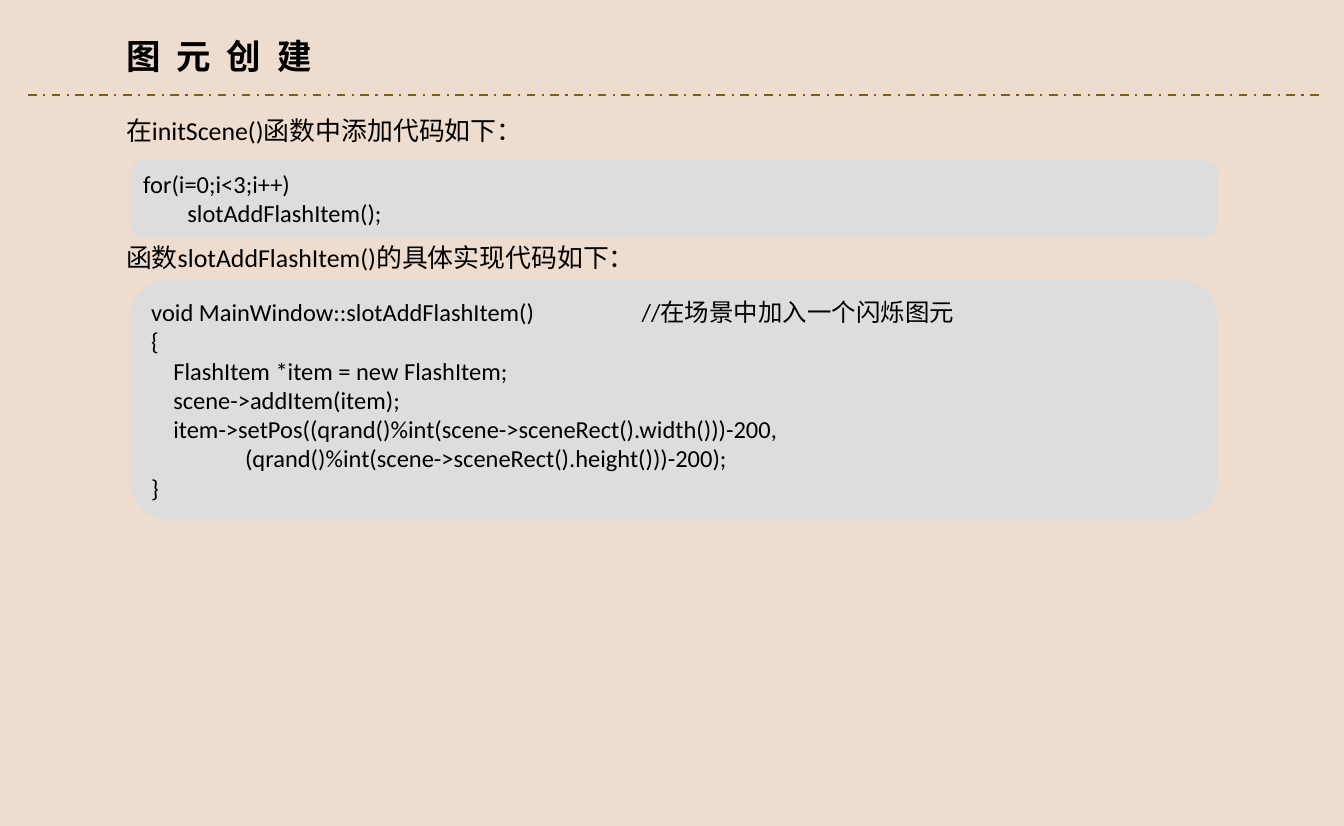
from dataclasses import dataclass

from lxml import etree
from pptx import Presentation
from pptx import util as u
from pptx.dml.color import RGBColor
from pptx.enum import dml, shapes, text
from pptx.oxml.ns import qn

PX = 9144  # EMU in one px, 100 px to the inch


@dataclass(frozen=True)
class Theme:
    font: str = "Calibri"
    paper: str = "EEDCCE"
    panel: str = "DDDDDD"
    rule: str = "806000"
    ink: str = "000000"
    title: int = 24
    body: int = 18
    code: int = 17
    track: int = 280  # title letter spacing, hundredths of a point


THEME = Theme()
LEFT = 112
PANEL_X, PANEL_W = 125, 1052
NOTE_TAB = 474

LOOP = """for(i=0;i<3;i++)
        slotAddFlashItem();"""

SLOT = """void MainWindow::slotAddFlashItem()\t//在场景中加入一个闪烁图元
{
    FlashItem *item = new FlashItem;
    scene->addItem(item);
    item->setPos((qrand()%int(scene->sceneRect().width()))-200,
                 (qrand()%int(scene->sceneRect().height()))-200);
}"""


def px(*nums):
    return [u.Emu(n * PX) for n in nums]


def rgb(code):
    return RGBColor.from_string(code)


def style(frame, size, bold=False):
    frame.auto_size = text.MSO_AUTO_SIZE.SHAPE_TO_FIT_TEXT
    for para in frame.paragraphs:
        para.alignment = text.PP_ALIGN.LEFT
        for run in para.runs:
            font = run.font
            font.name, font.size, font.bold = THEME.font, u.Pt(size), bold
            font.color.rgb = rgb(THEME.ink)


def label(slide, words, top, width, height, size, bold=False):
    box = slide.shapes.add_textbox(*px(LEFT, top, width, height))
    frame = box.text_frame
    frame.text = words
    frame.word_wrap = False
    style(frame, size, bold)
    return frame


def track(frame):
    """Widen the gaps between the letters."""
    for run in frame.paragraphs[0].runs:
        run.font._element.set("spc", str(THEME.track))


def tab(para, stop):
    stops = etree.SubElement(para._p.get_or_add_pPr(), qn("a:tabLst"))
    etree.SubElement(stops, qn("a:tab"), pos=str(stop * PX), algn="l")


def panel(slide, code, top, height):
    """Rounded block of code, with a tab stop for line comments."""
    box = slide.shapes.add_shape(
        shapes.MSO_SHAPE.ROUNDED_RECTANGLE, *px(PANEL_X, top, PANEL_W, height))
    box.shadow.inherit = False
    box.fill.solid()
    box.fill.fore_color.rgb = rgb(THEME.panel)
    box.line.fill.background()
    frame = box.text_frame
    frame.text = code
    frame.word_wrap = True
    frame.vertical_anchor = text.MSO_ANCHOR.MIDDLE
    for para in frame.paragraphs:
        if "\t" in para.text:
            tab(para, NOTE_TAB)
    style(frame, THEME.code)


def rule(slide, left, right, y):
    line = slide.shapes.add_connector(
        shapes.MSO_CONNECTOR.STRAIGHT, *px(left, y, right, y))
    line.line.color.rgb = rgb(THEME.rule)
    line.line.width = u.Pt(1.5)
    line.line.dash_style = dml.MSO_LINE.DASH_DOT
    etree.SubElement(line._element.spPr, qn("a:effectLst"))


def main():
    deck = Presentation()
    deck.slide_width, deck.slide_height = u.Cm(33), u.Cm(20.29)
    slide = deck.slides.add_slide(deck.slide_layouts[6])
    fill = slide.background.fill
    fill.solid()
    fill.fore_color.rgb = rgb(THEME.paper)

    rule(slide, 27, 1279, 92)
    track(label(slide, "图 元 创 建", 29, 201, 50, THEME.title, True))
    label(slide, "在initScene()函数中添加代码如下：", 106, 407, 40, THEME.body)
    panel(slide, LOOP, 155, 74)
    label(slide, "函数slotAddFlashItem()的具体实现代码如下：", 229, 517, 40, THEME.body)
    panel(slide, SLOT, 270, 233)
    deck.save("out.pptx")


if __name__ == "__main__":
    main()
